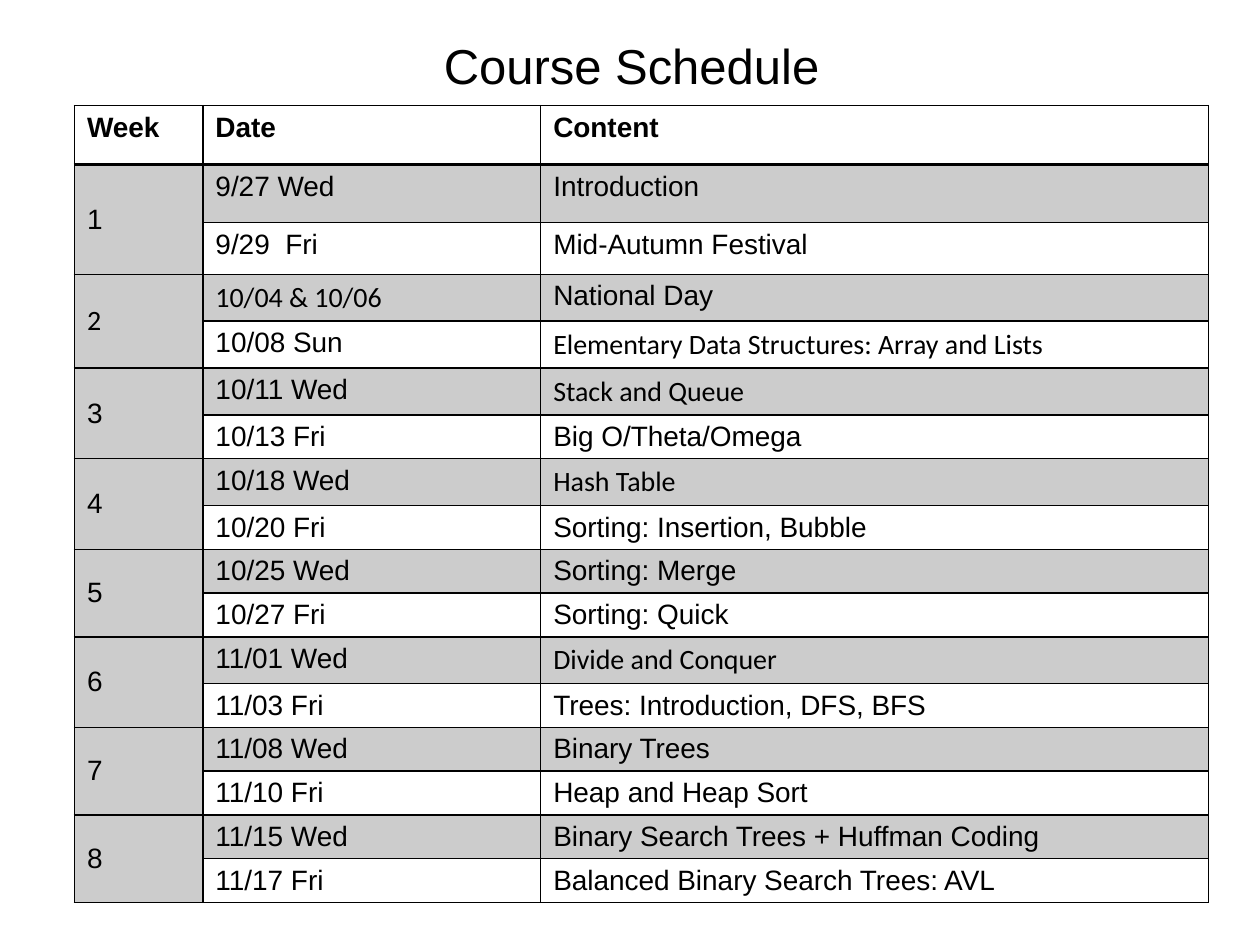
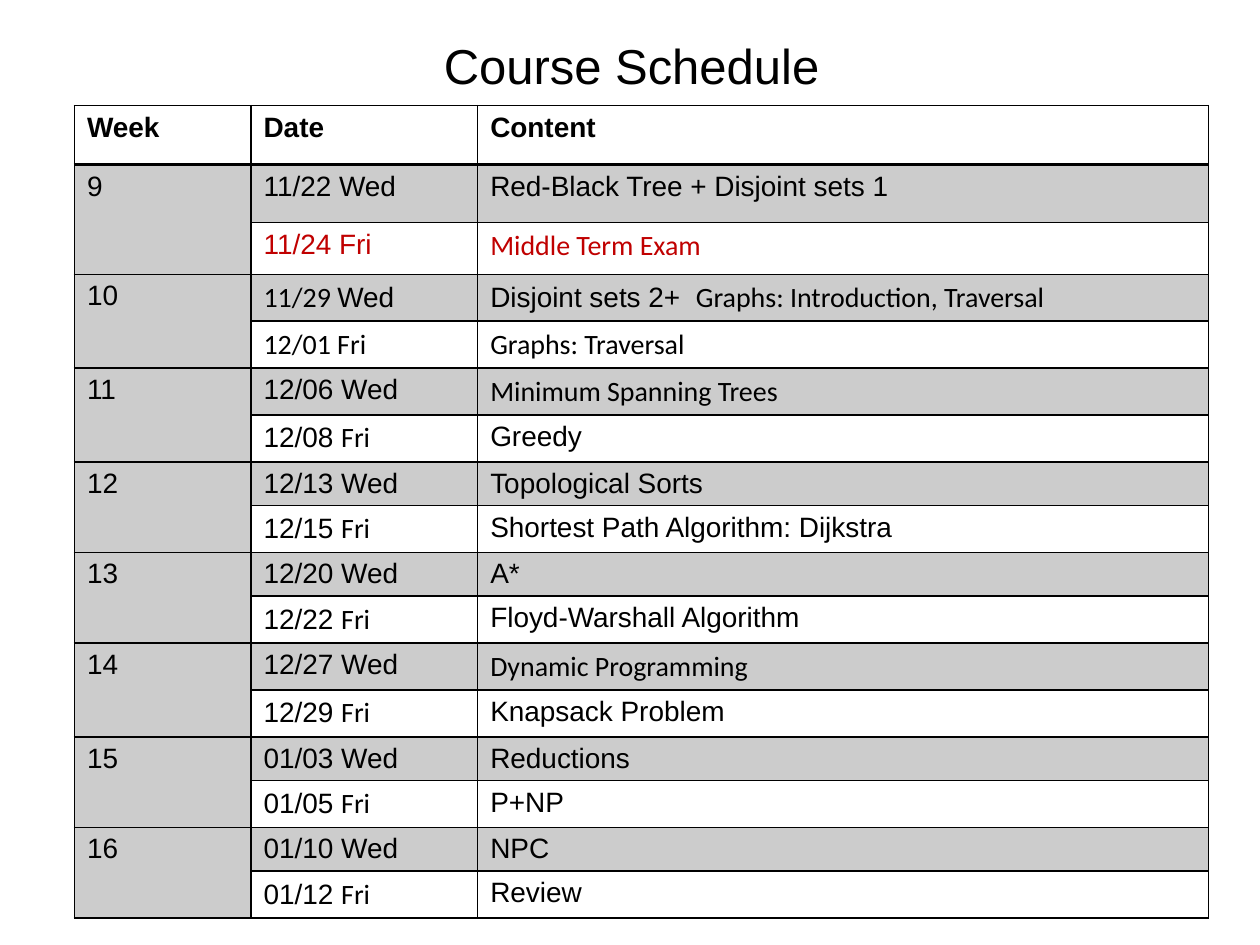
from lxml.etree import SubElement
from pptx import Presentation
from pptx.dml.color import RGBColor
from pptx.enum.text import MSO_ANCHOR, PP_ALIGN
from pptx.oxml.ns import qn
from pptx.util import Cm, Pt

COLORS = {"text": "000000", "line": "000000", "band": "CCCCCC", "exam": "C00000"}
FONTS = ["Arial", "Calibri"]
HEADERS = ["Week", "Date", "Content"]
ROW_HEIGHTS = [1.19, 1.17, 1.04] + [0.59] * 14

# A "~" in a text switches between the two fonts.
SCHEDULES = [
    {
        "cols": [2.59, 6.81, 13.46],
        "anchor": MSO_ANCHOR.MIDDLE,
        "weeks": ["1", "~2", "3", "4", "5", "6", "7", "8"],
        "classes": [
            ("9/27 Wed", "Introduction"),
            ("9/29  Fri", "Mid-Autumn Festival"),
            ("~10/04 & 10/06", "National Day"),
            ("10/08 Sun", "~Elementary Data Structures: Array and Lists"),
            ("10/11 Wed", "~Stack and Queue"),
            ("10/13 Fri", "Big O/Theta/Omega"),
            ("10/18 Wed", "~Hash Table"),
            ("10/20 Fri", "Sorting: Insertion, Bubble"),
            ("10/25 Wed", "Sorting: Merge"),
            ("10/27 Fri", "Sorting: Quick"),
            ("11/01 Wed", "~Divide and Conquer"),
            ("11/03 Fri", "Trees: Introduction, DFS, BFS"),
            ("11/08 Wed", "Binary Trees"),
            ("11/10 Fri", "Heap and Heap Sort"),
            ("11/15 Wed", "Binary Search Trees + Huffman Coding"),
            ("11/17 Fri", "Balanced Binary Search Trees: AVL"),
        ],
    },
    {
        "cols": [3.56, 4.57, 14.73],
        "anchor": MSO_ANCHOR.TOP,
        "weeks": ["9", "10", "11", "12", "13", "14", "15", "16"],
        "classes": [
            ("11/22 Wed", "Red-Black Tree + Disjoint sets 1"),
            ("11/24 Fri", "~Middle Term Exam"),
            ("~11/29 ~Wed", "Disjoint sets 2+  ~Graphs: Introduction, Traversal"),
            ("~12/01 Fri", "~Graphs: Traversal"),
            ("12/06 Wed", "~Minimum Spanning Trees"),
            ("12/08 ~Fri", "Greedy"),
            ("12/13 Wed", "Topological Sorts"),
            ("12/15 ~Fri", "Shortest Path Algorithm: Dijkstra"),
            ("12/20 Wed", "A*"),
            ("12/22 ~Fri", "Floyd-Warshall Algorithm"),
            ("12/27 Wed", "~Dynamic Programming"),
            ("12/29 ~Fri", "Knapsack Problem"),
            ("01/03 Wed", "Reductions"),
            ("01/05 ~Fri", "P+NP"),
            ("01/10 Wed", "NPC"),
            ("01/12 ~Fri", "Review"),
        ],
    },
]


def set_borders(cell, top, bottom):
    tc_pr = cell._tc.get_or_add_tcPr()
    for tag, width in (("a:lnL", 1), ("a:lnR", 1), ("a:lnT", top), ("a:lnB", bottom)):
        ln = SubElement(tc_pr, qn(tag), w=str(Pt(width)))
        fill = SubElement(ln, qn("a:solidFill"))
        SubElement(fill, qn("a:srgbClr"), val=COLORS["line"])


def write_cell(cell, text, color="text", bold=False):
    p = cell.text_frame.paragraphs[0]
    for i, part in enumerate(text.split("~")):
        if part:
            r = p.add_run()
            r.text = part
            r.font.size = Pt(16)
            r.font.bold = bold
            r.font.name = FONTS[i % 2]
            r.font.color.rgb = RGBColor.from_string(COLORS[color])


prs = Presentation()
prs.slide_width, prs.slide_height = Cm(25.4), Cm(19.05)

for schedule in SCHEDULES:
    s = prs.slides.add_slide(prs.slide_layouts[5])

    title = s.shapes.title
    title.left, title.top, title.width, title.height = Cm(1.3), Cm(-0.28), Cm(22.86), Cm(3.18)
    tf = title.text_frame
    tf.text = "Course Schedule"
    tf.vertical_anchor = MSO_ANCHOR.MIDDLE
    p = tf.paragraphs[0]
    p.alignment = PP_ALIGN.CENTER
    font = p.runs[0].font
    font.name, font.size = FONTS[0], Pt(28)
    font.color.rgb = RGBColor.from_string(COLORS["text"])

    frame = s.shapes.add_table(17, 3, Cm(1.5), Cm(2.13), Cm(22.86), Cm(16.43))
    table = frame.table
    table.first_row = table.horz_banding = False
    for col, width in zip(table.columns, schedule["cols"]):
        col.width = Cm(width)
    for row, height in zip(table.rows, ROW_HEIGHTS):
        row.height = Cm(height)
    frame.height = Cm(16.43)

    for i, row in enumerate(table.rows):
        for j, cell in enumerate(row.cells):
            set_borders(cell, 2 if i == 1 else 1, 2 if i == 0 else 1)
            if i % 2 or (i and j == 0):
                cell.fill.solid()
                cell.fill.fore_color.rgb = RGBColor.from_string(COLORS["band"])
            else:
                cell.fill.background()

    for j, header in enumerate(HEADERS):
        write_cell(table.cell(0, j), header, bold=True)
    for i, week in enumerate(schedule["weeks"]):
        cell = table.cell(2 * i + 1, 0)
        cell.merge(table.cell(2 * i + 2, 0))
        cell.vertical_anchor = schedule["anchor"]
        write_cell(cell, week)
    for i, (date, content) in enumerate(schedule["classes"], 1):
        color = "exam" if "Exam" in content else "text"
        write_cell(table.cell(i, 1), date, color)
        write_cell(table.cell(i, 2), content, color)

prs.save("out.pptx")
